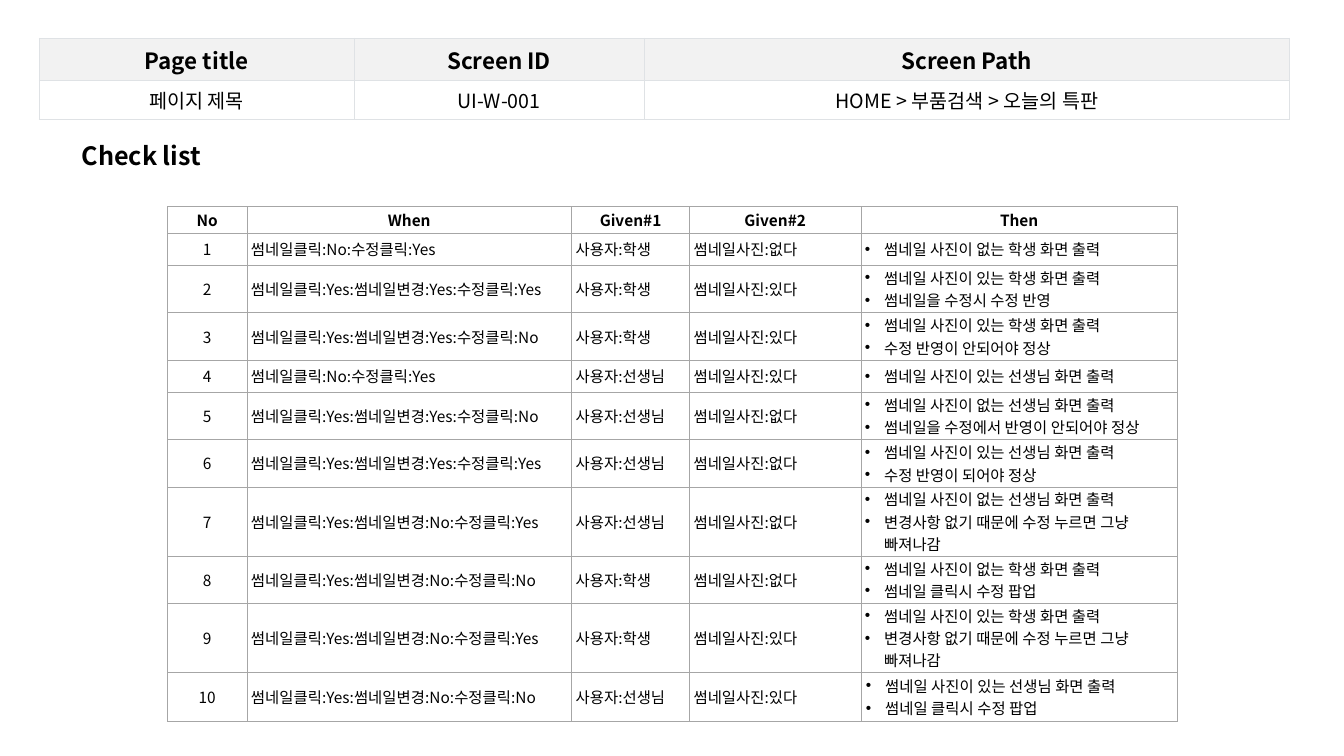
from lxml import etree
from pptx import Presentation
from pptx.dml.color import RGBColor
from pptx.enum.text import MSO_ANCHOR, PP_ALIGN
from pptx.oxml.ns import qn
from pptx.util import Inches, Pt

LEFT, CENTER = PP_ALIGN.LEFT, PP_ALIGN.CENTER
TOP, MIDDLE = MSO_ANCHOR.TOP, MSO_ANCHOR.MIDDLE
FONT = "Noto Sans CJK KR"
COLORS = {
    "text": "000000",
    "paper": "FFFFFF",
    "header": "F2F2F2",
    "light_line": "DFE2E5",
    "dark_line": "A6A6A6",
}
PAGE_INFO = [
    ("Page title", "Screen ID", "Screen Path"),
    ("페이지 제목", "UI-W-001", "HOME > 부품검색 > 오늘의 특판"),
]
CHECK_HEADS = ("No", "When", "Given#1", "Given#2", "Then")
LEAVE = "변경사항 없기 때문에 수정 누르면 그냥 빠져나감"
POPUP = "썸네일 클릭시 수정 팝업"
CHECKS = [
    (None, "Yes", "학생", "없다", "없는", []),
    ("Yes", "Yes", "학생", "있다", "있는", ["썸네일을 수정시 수정 반영"]),
    ("Yes", "No", "학생", "있다", "있는", ["수정 반영이 안되어야 정상"]),
    (None, "Yes", "선생님", "있다", "있는", []),
    ("Yes", "No", "선생님", "없다", "없는", ["썸네일을 수정에서 반영이 안되어야 정상"]),
    ("Yes", "Yes", "선생님", "없다", "있는", ["수정 반영이 되어야 정상"]),
    ("No", "Yes", "선생님", "없다", "없는", [LEAVE]),
    ("No", "No", "학생", "없다", "없는", [POPUP]),
    ("No", "Yes", "학생", "있다", "있는", [LEAVE]),
    ("No", "No", "선생님", "있다", "있는", [POPUP]),
]


def add_bullet(para, indent=0.19):
    """Give a paragraph a hanging round bullet."""
    properties = para._p.get_or_add_pPr()
    properties.set("marL", str(Inches(indent)))
    properties.set("indent", str(-Inches(indent)))
    etree.SubElement(properties, qn("a:buFont")).set("typeface", "Arial")
    etree.SubElement(properties, qn("a:buChar")).set("char", "•")


def write_text(frame, lines, size, bold=False, align=LEFT, bullet=False):
    """Write one paragraph per line with a shared format."""
    for index, line in enumerate(lines):
        para = frame.paragraphs[0] if index == 0 else frame.add_paragraph()
        para.alignment = align
        if bullet:
            add_bullet(para)
        span = para.add_run()
        span.text = line
        span.font.size = Pt(size)
        span.font.bold = bold
        span.font.name = FONT
        span.font.color.rgb = RGBColor.from_string(COLORS["text"])
        east_asian = etree.SubElement(span._r.get_or_add_rPr(), qn("a:ea"))
        east_asian.set("typeface", FONT)


def add_borders(cell, color, width):
    """Draw a solid line on all four sides of a cell."""
    properties = cell._tc.get_or_add_tcPr()
    for side in ("lnL", "lnR", "lnT", "lnB"):
        line = etree.SubElement(properties, qn(f"a:{side}"), w=str(Pt(width)))
        fill = etree.SubElement(line, qn("a:solidFill"))
        etree.SubElement(fill, qn("a:srgbClr"), val=COLORS[color])


def set_margins(cell, side, edge):
    """Set the side and the top and bottom margins of a cell."""
    cell.margin_left = cell.margin_right = Inches(side)
    cell.margin_top = cell.margin_bottom = Inches(edge)


def fill_cell(cell, lines, margins, line, fill="paper", **text_format):
    """Style a cell and write its text."""
    set_margins(cell, *margins)
    cell.vertical_anchor = MIDDLE
    add_borders(cell, *line)
    cell.fill.solid()
    cell.fill.fore_color.rgb = RGBColor.from_string(COLORS[fill])
    write_text(cell.text_frame, lines, **text_format)


def add_grid(page, left, top, widths, heights):
    """Add a plain table with the given column widths and row heights."""
    frame = page.shapes.add_table(
        len(heights), len(widths), Inches(left), Inches(top),
        Inches(sum(widths)), Inches(sum(heights)))
    table = frame.table
    table.first_row = table.horz_banding = False
    for column, width in zip(table.columns, widths):
        column.width = Inches(width)
    for row, height in zip(table.rows, heights):
        row.height = Inches(height)
    return table


def add_page_info(page):
    """Add the table that names the page, screen and path."""
    table = add_grid(page, 0.39, 0.38, [3.12, 2.88, 6.4], [0.35, 0.35])
    for row, texts in enumerate(PAGE_INFO):
        head = row == 0
        for column, text in enumerate(texts):
            fill_cell(table.cell(row, column), [text], (0.11, 0.05), ("light_line", 0.6),
                      fill="header" if head else "paper",
                      size=16 if head else 14, bold=head, align=CENTER)


def check_cells(number, change, edit, user, photo, shown, results):
    """Return the lines of each cell for one check."""
    click = f"Yes:썸네일변경:{change}" if change else "No"
    return [
        [str(number)],
        [f"썸네일클릭:{click}:수정클릭:{edit}"],
        [f"사용자:{user}"],
        [f"썸네일사진:{photo}"],
        [f"썸네일 사진이 {shown} {user} 화면 출력", *results],
    ]


def add_checks(page):
    """Add the table of conditions and expected results."""
    heights = [0.19] + [0.47 if check[-1] else 0.32 for check in CHECKS]
    table = add_grid(page, 1.66, 2.05, [0.79, 3.22, 1.17, 1.7, 3.14], heights)
    line = ("dark_line", 0.5)
    for column, head in enumerate(CHECK_HEADS):
        fill_cell(table.cell(0, column), [head], (0.04, 0.02), line,
                  size=11, bold=True, align=CENTER)
    for row, check in enumerate(CHECKS, start=1):
        for column, lines in enumerate(check_cells(row, *check)):
            fill_cell(table.cell(row, column), lines, (0.04, 0.01), line, size=11,
                      align=CENTER if column == 0 else LEFT,
                      bullet=column == len(CHECK_HEADS) - 1)
    last_result = table.cell(len(CHECKS), len(CHECK_HEADS) - 1)
    set_margins(last_result, 0.05, 0.02)
    last_result.vertical_anchor = TOP


def add_heading(page, text):
    """Add the heading above the checks."""
    box = page.shapes.add_textbox(Inches(0.71), Inches(1.34), Inches(3.82), Inches(0.4))
    box.text_frame.word_wrap = True
    write_text(box.text_frame, [text], size=18, bold=True)


def main():
    """Build the check list slide."""
    deck = Presentation()
    deck.slide_width, deck.slide_height = Inches(13.33), Inches(7.5)
    page = deck.slides.add_slide(deck.slide_layouts[6])
    add_page_info(page)
    add_checks(page)
    add_heading(page, "Check list")
    deck.save("out.pptx")


main()
